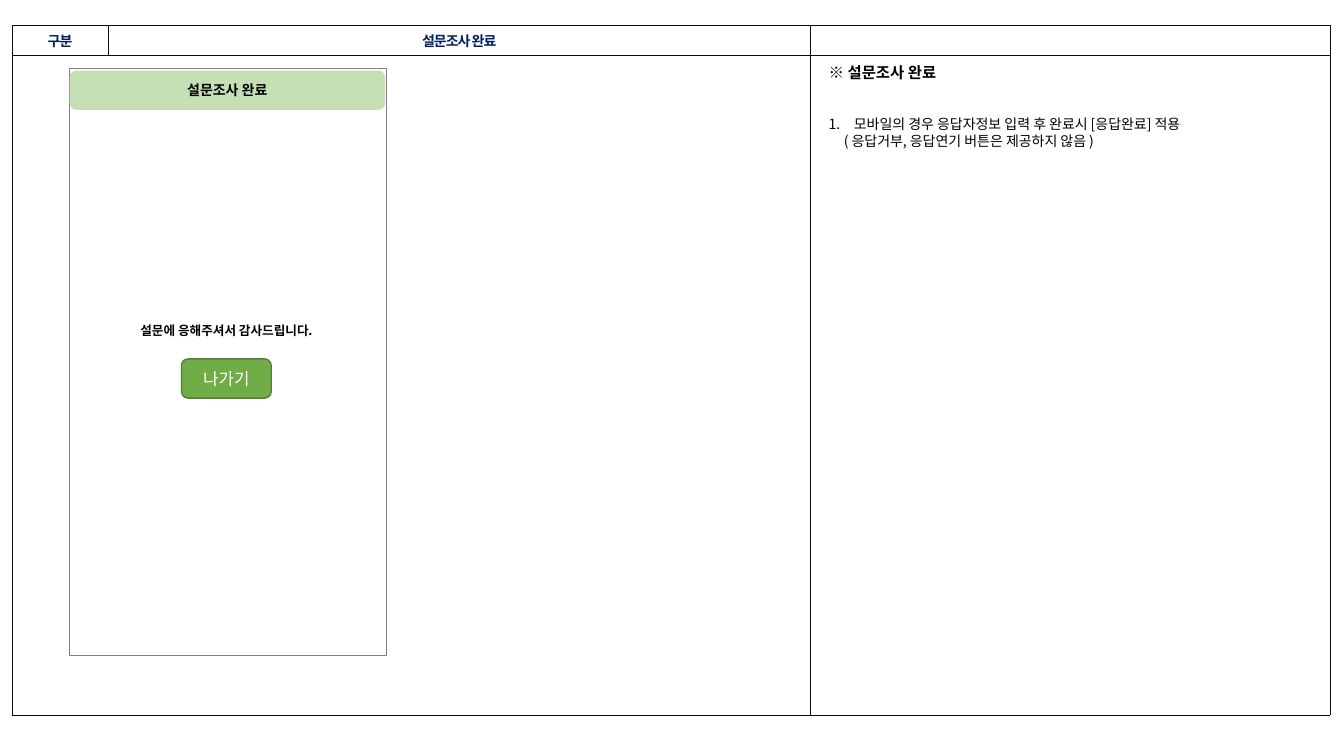
from lxml import etree
from pptx import Presentation
from pptx.dml.color import RGBColor
from pptx.enum.shapes import MSO_SHAPE
from pptx.enum.text import MSO_ANCHOR, PP_ALIGN
from pptx.oxml.ns import qn
from pptx.util import Inches, Pt

RECT, ROUNDED = MSO_SHAPE.RECTANGLE, MSO_SHAPE.ROUNDED_RECTANGLE
MIDDLE = MSO_ANCHOR.MIDDLE
CENTER, LEFT = PP_ALIGN.CENTER, PP_ALIGN.LEFT
FONT = "Noto Sans CJK KR"
COLORS = {
    "black": "000000", "white": "FFFFFF", "navy": "002060", "border": "0D0D0D",
    "frame": "808080", "banner": "C5E0B4", "button": "70AD47", "button_line": "538035",
}


def rgb(name):
    return RGBColor.from_string(COLORS[name])


def write(p, text, size, color="black", bold=False, align=LEFT):
    """Fill a paragraph with one formatted run."""
    p.alignment = align
    r = p.add_run()
    r.text = text
    for name, value in {"size": Pt(size), "bold": bold, "name": FONT}.items():
        setattr(r.font, name, value)
    r.font.color.rgb = rgb(color)
    etree.SubElement(r.font._element, qn("a:ea"), typeface=FONT)
    return r


def set_indent(p, left, first=0, numbered=False):
    pPr = p._p.get_or_add_pPr()
    pPr.set("marL", str(Inches(left)))
    pPr.set("indent", str(Inches(first)))
    if numbered:
        etree.SubElement(pPr, qn("a:buFont"), typeface=FONT)
        etree.SubElement(pPr, qn("a:buAutoNum"), type="arabicPeriod")


def set_borders(cell):
    tcPr = cell._tc.get_or_add_tcPr()
    for i, side in enumerate(("lnL", "lnR", "lnT", "lnB")):
        ln = etree.Element(qn(f"a:{side}"), w=str(Pt(0.25)))
        fill = etree.SubElement(ln, qn("a:solidFill"))
        etree.SubElement(fill, qn("a:srgbClr"), val=COLORS["border"])
        tcPr.insert(i, ln)


def add_layout_table(s):
    widths, heights = (0.95, 6.97, 5.15), (0.3, 6.54)
    headers = ("구분", "설문조사 완료", "")
    table = s.shapes.add_table(2, 3, Inches(0.12), Inches(0.25),
                               Inches(sum(widths)), Inches(sum(heights))).table
    table.first_row = table.horz_banding = False
    for column, width in zip(table.columns, widths):
        column.width = Inches(width)
    for row, height in zip(table.rows, heights):
        row.height = Inches(height)
    for cell in table.iter_cells():
        cell.fill.background()
        set_borders(cell)
    for i, header in enumerate(headers):
        cell = table.cell(0, i)
        cell.vertical_anchor = MIDDLE
        p = cell.text_frame.paragraphs[0]
        if header:
            r = write(p, header, 10, "navy", True, CENTER)
            r.font._element.set("spc", "-70")
        else:  # a small empty line keeps the row from growing
            etree.SubElement(p._p, qn("a:endParaRPr"), sz="1000")
    table.cell(1, 0).merge(table.cell(1, 1))


def add_text_box(s, left, top, width, height):
    tf = s.shapes.add_textbox(*map(Inches, (left, top, width, height))).text_frame
    tf.word_wrap = True
    return tf


def add_box(s, kind, box, fill, line=None, line_width=1):
    sp = s.shapes.add_shape(kind, *map(Inches, box))
    sp.shadow.inherit = False
    sp.fill.solid()
    sp.fill.fore_color.rgb = rgb(fill)
    if line:
        sp.line.color.rgb = rgb(line)
        sp.line.width = Pt(line_width)
    else:
        sp.line.fill.background()
    sp.text_frame.vertical_anchor = MIDDLE
    return sp.text_frame.paragraphs[0]


def add_notes_column(s):
    tf = add_text_box(s, 8.12, 0.58, 4.95, 2.64)
    write(tf.paragraphs[0], "※ 설문조사 완료", 11, bold=True)
    item = tf.add_paragraph()
    item.space_before = Pt(24)
    write(item, "모바일의 경우 응답자정보 입력 후 완료시 [응답완료] 적용", 10)
    set_indent(item, 0.25, -0.25, numbered=True)
    remark = tf.add_paragraph()
    write(remark, "( 응답거부, 응답연기 버튼은 제공하지 않음 )", 10)
    set_indent(remark, 0.15)


def add_phone_screen(s):
    add_box(s, RECT, (0.69, 0.68, 3.14, 5.82), "white", "frame", 0.75)
    thanks = add_text_box(s, 0.69, 3.15, 3.14, 0.35).paragraphs[0]
    write(thanks, "설문에 응해주셔서 감사드립니다. ", 9, bold=True, align=CENTER)
    banner = add_box(s, ROUNDED, (0.69, 0.7, 3.13, 0.39), "banner")
    write(banner, "설문조사 완료", 10, bold=True, align=CENTER)
    button = add_box(s, ROUNDED, (1.8, 3.56, 0.89, 0.39), "button", "button_line")
    write(button, "나가기", 12, "white", align=CENTER)


def main():
    prs = Presentation()
    prs.slide_width, prs.slide_height = Inches(13.33), Inches(7.5)
    s = prs.slides.add_slide(prs.slide_layouts[6])
    add_layout_table(s)
    add_notes_column(s)
    add_phone_screen(s)
    prs.save("out.pptx")


if __name__ == "__main__":
    main()
